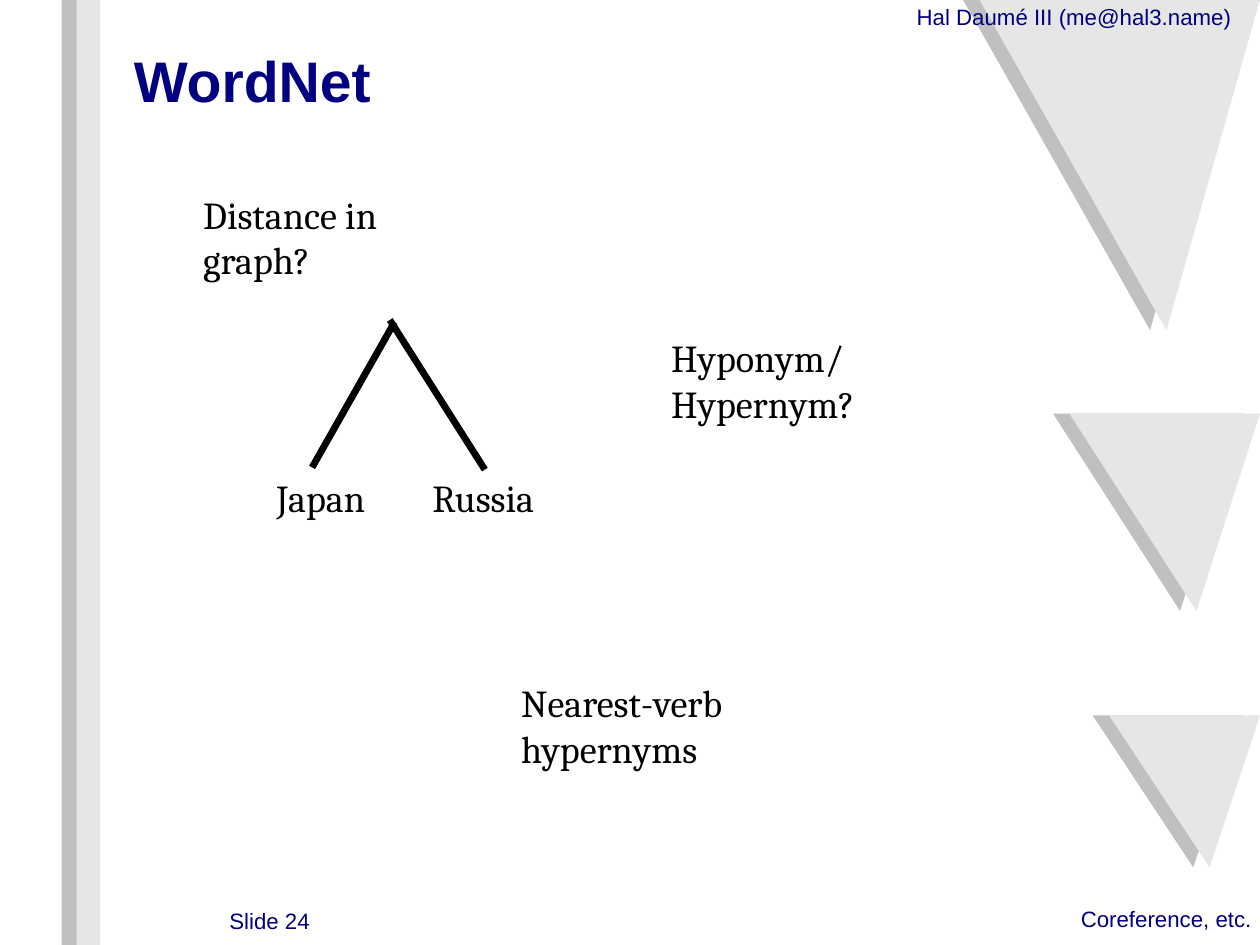
"""Builds the WordNet slide with its side bars, triangles and small tree."""
from dataclasses import dataclass

from lxml import etree
from pptx import Presentation
from pptx.dml.color import RGBColor
from pptx.enum.shapes import MSO_CONNECTOR, MSO_SHAPE
from pptx.enum.text import MSO_ANCHOR, PP_ALIGN
from pptx.oxml.ns import qn
from pptx.shapes.base import BaseShape
from pptx.slide import Slide
from pptx.text.text import TextFrame
from pptx.util import Length, Pt

LEFT, RIGHT = PP_ALIGN.LEFT, PP_ALIGN.RIGHT
TOP, MIDDLE = MSO_ANCHOR.TOP, MSO_ANCHOR.MIDDLE
RECTANGLE, STRAIGHT = MSO_SHAPE.RECTANGLE, MSO_CONNECTOR.STRAIGHT
WIDTH, HEIGHT = Pt(793.75), Pt(595.25)
NAVY, BLACK, GREY, PALE = "000080", "000000", "C0C0C0", "E6E6E6"
SHADOW_SHIFT = 1.3


@dataclass
class Style:
    font: str
    size: int
    color: str
    bold: bool = False
    align: PP_ALIGN = LEFT
    anchor: MSO_ANCHOR = TOP


@dataclass
class Label:
    text: str
    left: float
    top: float
    width: float
    height: float
    style: Style


@dataclass
class Triangle:
    left: float
    top: float
    bottom: float


@dataclass
class Branch:
    x1: float
    y1: float
    x2: float
    y2: float


TITLE = Style("Arial", 36, NAVY, bold=True, anchor=MIDDLE)
MARGIN = Style("Arial", 14, NAVY)
NUMBER = Style("Arial", 14, NAVY, align=RIGHT)
BODY = Style("Cambria", 24, BLACK)

HEADING = Label("WordNet", 10.62, 3.5, 80.67, 9.8, TITLE)
LABELS = [
    Label("Coreference, etc.", 85.78, 95.85, 14.22, 3.02, MARGIN),
    Label("Slide 24", 8.53, 96.05, 16.06, 3.02, NUMBER),
    Label("Hal Daumé III (me@hal3.name)", 72.75, 0.36, 26.04, 3.02, MARGIN),
    Label("Distance in graph?", 16.13, 20.2, 22.3, 4.5, BODY),
    Label("Hyponym/Hypernym?", 53.27, 35.38, 27.2, 4.5, BODY),
    Label("Japan", 21.96, 50.15, 9, 4.5, BODY),
    Label("Russia", 34.32, 50.15, 10, 4.5, BODY),
    Label("Nearest-verb hypernyms", 41.37, 71.9, 29.8, 4.5, BODY),
]
TRIANGLES = [
    Triangle(77.75, 0, 34.95),
    Triangle(84.88, 43.77, 64.65),
    Triangle(88.02, 75.7, 91.78),
]
BRANCHES = [
    Branch(24.77, 49.46, 31.31, 34.1),
    Branch(38.48, 49.7, 30.94, 33.86),
]


def x(percent: float) -> Length:
    """Return a share of the slide's width."""
    return Length(round(WIDTH * percent / 100))


def y(percent: float) -> Length:
    """Return a share of the slide's height."""
    return Length(round(HEIGHT * percent / 100))


def rgb(color: str) -> RGBColor:
    """Return the colour for a hex string."""
    return RGBColor.from_string(color)


def paint(sp: BaseShape, color: str) -> None:
    """Give a shape a flat fill without line or shadow."""
    sp.fill.solid()
    sp.fill.fore_color.rgb = rgb(color)
    sp.line.fill.background()
    sp.shadow.inherit = False


def write(tf: TextFrame, label: Label) -> None:
    """Fill a text frame with a label's text in its style."""
    style = label.style
    tf.margin_left = tf.margin_right = tf.margin_top = tf.margin_bottom = 0
    tf.word_wrap = True
    tf.vertical_anchor = style.anchor
    tf.text = label.text
    p = tf.paragraphs[0]
    p.alignment = style.align
    p.font.name = style.font
    p.font.size = Pt(style.size)
    p.font.bold = style.bold
    p.font.color.rgb = rgb(style.color)


def add_label(s: Slide, label: Label) -> None:
    """Add a text box."""
    sp = s.shapes.add_textbox(x(label.left), y(label.top), x(label.width), y(label.height))
    write(sp.text_frame, label)


def add_title(s: Slide, label: Label) -> None:
    """Place and fill the title placeholder."""
    sp = s.shapes.title
    sp.left, sp.top = x(label.left), y(label.top)
    sp.width, sp.height = x(label.width), y(label.height)
    write(sp.text_frame, label)


def add_triangle(s: Slide, triangle: Triangle, shift: float, color: str) -> None:
    """Add a downward triangle whose tip lies two thirds along its top side."""
    tip = triangle.left + (100 - triangle.left) * 2 / 3
    builder = s.shapes.build_freeform(x(triangle.left - shift), y(triangle.top))
    builder.add_line_segments([
        (x(tip - shift), y(triangle.bottom)),
        (x(100 - shift), y(triangle.top)),
    ])
    paint(builder.convert_to_shape(), color)


def add_bar(s: Slide, left: float, color: str) -> None:
    """Add a bar over the full height of the slide."""
    paint(s.shapes.add_shape(RECTANGLE, x(left), 0, x(1.9), HEIGHT), color)


def add_branch(s: Slide, branch: Branch) -> None:
    """Add one branch of the tree."""
    sp = s.shapes.add_connector(
        STRAIGHT, x(branch.x1), y(branch.y1), x(branch.x2), y(branch.y2))
    sp.line.color.rgb = rgb(BLACK)
    sp.line.width = Pt(4.31)
    etree.SubElement(sp._element.spPr, qn("a:effectLst"))


def main() -> None:
    """Build and save the slide."""
    prs = Presentation()
    prs.slide_width, prs.slide_height = WIDTH, HEIGHT
    s = prs.slides.add_slide(prs.slide_layouts[5])
    for shift, color in ((SHADOW_SHIFT, GREY), (0, PALE)):
        for triangle in TRIANGLES:
            add_triangle(s, triangle, shift, color)
    for left, color in ((4.9, GREY), (6.08, PALE)):
        add_bar(s, left, color)
    add_title(s, HEADING)
    for label in LABELS:
        add_label(s, label)
    for branch in BRANCHES:
        add_branch(s, branch)
    prs.save("out.pptx")


if __name__ == "__main__":
    main()
